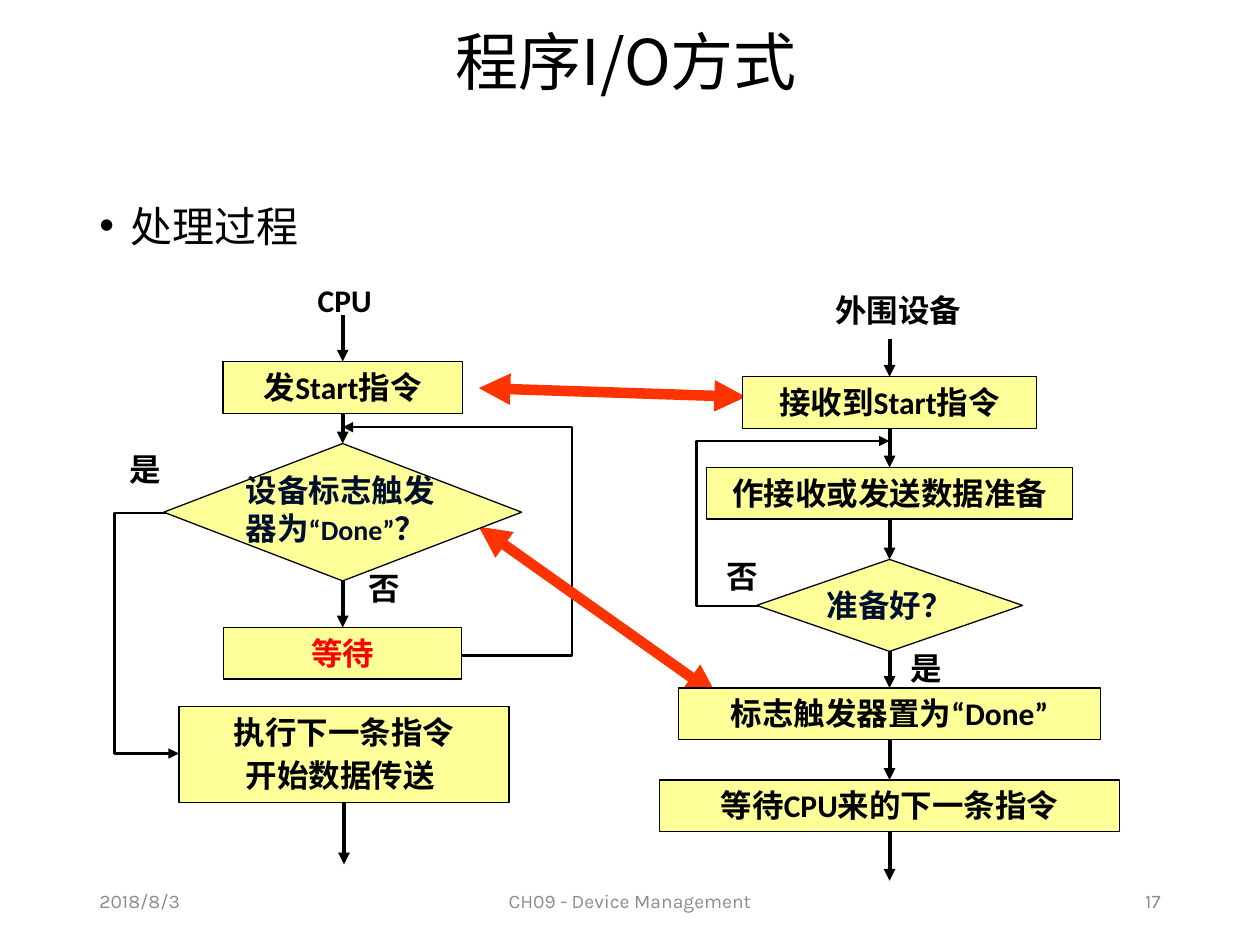
from dataclasses import dataclass
from typing import NamedTuple

from lxml.etree import SubElement
from pptx import Presentation
from pptx.dml.color import RGBColor
from pptx.enum.shapes import MSO_CONNECTOR as Link, MSO_SHAPE as Preset
from pptx.enum.text import MSO_ANCHOR as Anchor, MSO_AUTO_SIZE as Fit, PP_ALIGN as Align
from pptx.oxml.ns import qn
from pptx.util import Inches, Pt


@dataclass(frozen=True)
class Theme:
    ink: str = "000000"
    navy: str = "000F2E"
    alert: str = "FF0000"
    signal: str = "FF3300"
    panel: str = "FFFF99"
    muted: str = "8C8C8C"
    heading_font: str = "Noto Sans CJK SC"
    chart_font: str = "Calibri"
    footer_font: str = "Karla"
    title_size: int = 36
    body_size: int = 24
    chart_size: int = 18
    quote_size: int = 16
    footer_size: int = 11
    border: float = 0.75
    loop: float = 1.5
    flow: float = 2.25
    exchange: float = 6


class Area(NamedTuple):
    column: float
    row: float
    columns: float
    rows: float


class Point(NamedTuple):
    column: float
    row: float


class Step(NamedTuple):
    name: str
    area: Area
    text: str = ""
    color: str = Theme.ink
    preset: Preset = Preset.RECTANGLE


class Label(NamedTuple):
    text: str
    area: Area
    align: Align = Align.LEFT


class Flow(NamedTuple):
    source: str | Point
    target: str | Point


COLUMNS, ROWS = 10, 7.5
TOP, BOTTOM = 0, 2
CPU_AXIS, DEVICE_AXIS = 2.72, 7.06
STEP_ROWS = 0.41
LABEL_ROWS = 0.4
theme = Theme()

deck = Presentation()
deck.slide_width, deck.slide_height = Inches(10), Inches(7.5)
page = deck.slides.add_slide(deck.slide_layouts[6])


def across(columns: float) -> int:
    return round(deck.slide_width * columns / COLUMNS)


def down(rows: float) -> int:
    return round(deck.slide_height * rows / ROWS)


def place(area: Area) -> tuple[int, int, int, int]:
    return across(area.column), down(area.row), across(area.columns), down(area.rows)


def centered(axis: float, row: float, columns: float, rows: float = STEP_ROWS) -> Area:
    return Area(axis - columns / 2, row, columns, rows)


def write(box, text: str | list[tuple[str, int]], *, size=theme.chart_size,
          font=theme.chart_font, color=theme.ink, bold=True, align=Align.LEFT,
          anchor=Anchor.TOP, wrap=True, grow=False, inset=None,
          line_spacing=None, before=None, gap=2.7, bullet=False) -> None:
    frame = box.text_frame
    frame.word_wrap, frame.vertical_anchor = wrap, anchor
    frame.auto_size = Fit.SHAPE_TO_FIT_TEXT if grow else Fit.NONE
    if inset is not None:
        frame.margin_left = frame.margin_right = inset
        frame.margin_top = frame.margin_bottom = inset
    lines = [[(line, size)] for line in text.split("\n")] if isinstance(text, str) else [text]
    for index, line in enumerate(lines):
        para = frame.add_paragraph() if index else frame.paragraphs[0]
        para.alignment = align
        if line_spacing:
            para.line_spacing = line_spacing
        if index or before:
            para.space_before = Pt(gap if index else before)
        if bullet:
            properties = para._p.get_or_add_pPr()
            properties.set("marL", str(Inches(0.25)))
            properties.set("indent", str(-Inches(0.25)))
            SubElement(properties, qn("a:buFont")).set("typeface", "Arial")
            SubElement(properties, qn("a:buChar")).set("char", "•")
        for words, points in line:
            span = para.add_run()
            span.text = words
            span.font.name, span.font.size, span.font.bold = font, Pt(points), bold
            span.font.color.rgb = RGBColor.from_string(color)
            SubElement(span._r.get_or_add_rPr(), qn("a:ea")).set("typeface", font)


def add_text(area: Area, text, **style) -> None:
    write(page.shapes.add_textbox(*place(area)), text, **style)


def stroke(line_shape, color: str, width: float, head=False, tail=True) -> None:
    line_shape.line.color.rgb = RGBColor.from_string(color)
    line_shape.line.width = Pt(width)
    for tag, shown in (("a:headEnd", head), ("a:tailEnd", tail)):
        if shown:
            SubElement(line_shape.line._get_or_add_ln(), qn(tag)).set("type", "triangle")


def add_step(step: Step):
    box = page.shapes.add_shape(step.preset, *place(step.area))
    box.shadow.inherit = False
    box.fill.solid()
    box.fill.fore_color.rgb = RGBColor.from_string(theme.panel)
    stroke(box, theme.ink, theme.border, tail=False)
    if step.text:
        diamond = step.preset == Preset.DIAMOND
        write(box, step.text, color=step.color, align=Align.CENTER, wrap=not diamond,
              grow=not diamond, anchor=Anchor.MIDDLE if diamond else Anchor.TOP)
    return box


def add_line(start: Point, end: Point, color=theme.ink, width=theme.flow, **ends):
    line = page.shapes.add_connector(
        Link.STRAIGHT, across(start.column), down(start.row), across(end.column), down(end.row))
    stroke(line, color, width, **ends)
    SubElement(line._element.spPr, qn("a:effectLst"))
    return line


def add_flow(flow: Flow, boxes: dict) -> None:
    joined = [isinstance(end, str) for end in flow]
    free_end = next((end for end in flow if isinstance(end, Point)), Point(0, 0))
    line = add_line(free_end, free_end)
    if joined[0]:
        line.begin_connect(boxes[flow.source], BOTTOM)
    if joined[1]:
        line.end_connect(boxes[flow.target], TOP)


def add_loop(points: list[Point]) -> None:
    start, *corners = [(across(point.column), down(point.row)) for point in points]
    builder = page.shapes.build_freeform(*start)
    builder.add_line_segments(corners, close=False)
    loop = builder.convert_to_shape()
    loop.shadow.inherit = False
    loop.fill.background()
    stroke(loop, theme.ink, theme.loop)


def detour(start: float, low: float, side: float, high: float, end: float) -> list[Point]:
    return [Point(start, low), Point(side, low), Point(side, high), Point(end, high)]


STEPS = [
    Step("next", Area(1.42, 5.61, 2.62, 0.76), "执行下一条指令\n开始数据传送 "),
    Step("wait", centered(CPU_AXIS, 4.98, 1.89), "等待", theme.alert),
    Step("start", centered(CPU_AXIS, 2.87, 1.9), "发Start指令"),
    Step("check", centered(CPU_AXIS, 3.52, 2.84, 1.09), preset=Preset.DIAMOND),
    Step("receive", centered(DEVICE_AXIS, 2.99, 2.33), "接收到Start指令"),
    Step("prepare", centered(DEVICE_AXIS, 3.71, 2.91), "作接收或发送数据准备"),
    Step("ready", centered(DEVICE_AXIS, 4.44, 2.11, 0.73), "准备好？", theme.navy, Preset.DIAMOND),
    Step("done", centered(DEVICE_AXIS, 5.46, 3.35), "标志触发器置为“Done”"),
    Step("idle", centered(DEVICE_AXIS, 6.19, 3.65), "等待CPU来的下一条指令"),
]
FLOWS = [
    Flow(Point(CPU_AXIS, 2.5), "start"), Flow("start", "check"), Flow("check", "wait"),
    Flow("next", Point(2.73, 6.86)),
    Flow(Point(DEVICE_AXIS, 2.69), "receive"), Flow("receive", "prepare"),
    Flow("prepare", "ready"), Flow("ready", "done"), Flow("done", "idle"),
    Flow("idle", Point(DEVICE_AXIS, 6.99)),
]
LOOPS = [
    detour(3.01, 5.2, 4.54, 3.39, CPU_AXIS),
    detour(6.04, 4.81, 5.53, 3.5, DEVICE_AXIS),
    detour(1.32, 4.07, 0.91, 5.98, 1.42),
]
EXCHANGES = [(Point(3.8, 4.18), Point(5.69, 5.52)), (Point(3.8, 3.08), Point(5.92, 3.15))]
LABELS = [
    Label("CPU", Area(2.19, 2.18, 1.09, LABEL_ROWS), Align.CENTER),
    Label("外围设备", Area(6.4, 2.26, 1.46, LABEL_ROWS), Align.CENTER),
    Label("否", Area(2.83, 4.47, 0.58, LABEL_ROWS)),
    Label("是", Area(0.93, 3.52, 0.51, LABEL_ROWS)),
    Label("是", Area(7.13, 5.1, 0.51, LABEL_ROWS)),
    Label("否", Area(5.67, 4.37, 0.58, LABEL_ROWS)),
]
FOOTERS = [
    Label("2018/8/3", Area(0.69, 6.95, 2.25, 0.4)),
    Label("CH09 - Device Management", Area(3.31, 6.95, 3.38, 0.4), Align.CENTER),
    Label("17", Area(7.06, 6.95, 2.25, 0.4), Align.RIGHT),
]

add_text(Area(0.66, 0.14, 8.62, 0.76), "程序I/O方式", size=theme.title_size, bold=False,
         font=theme.heading_font, align=Align.CENTER, anchor=Anchor.MIDDLE, line_spacing=0.9)
add_text(Area(0.69, 1.44, 8.62, 5.38), "处理过程", size=theme.body_size, bold=False,
         font=theme.heading_font, line_spacing=1.25, before=10, bullet=True)
for footer in FOOTERS:
    add_text(footer.area, footer.text, size=theme.footer_size, font=theme.footer_font,
             color=theme.muted, bold=False, align=footer.align, anchor=Anchor.MIDDLE)
for route in LOOPS:
    add_loop(route)
for left_end, right_end in EXCHANGES:
    add_line(left_end, right_end, theme.signal, theme.exchange, head=True)
step_boxes = {step.name: add_step(step) for step in STEPS}
for flow in FLOWS:
    add_flow(flow, step_boxes)
for label in LABELS:
    add_text(label.area, label.text, align=label.align, grow=True)
add_text(Area(1.95, 3.74, 1.68, 0.6),
         [("设备标志触发器为", theme.chart_size), ("“Done”", theme.quote_size),
          ("？", theme.chart_size)], color=theme.navy, grow=True, inset=0)

deck.save("out.pptx")
